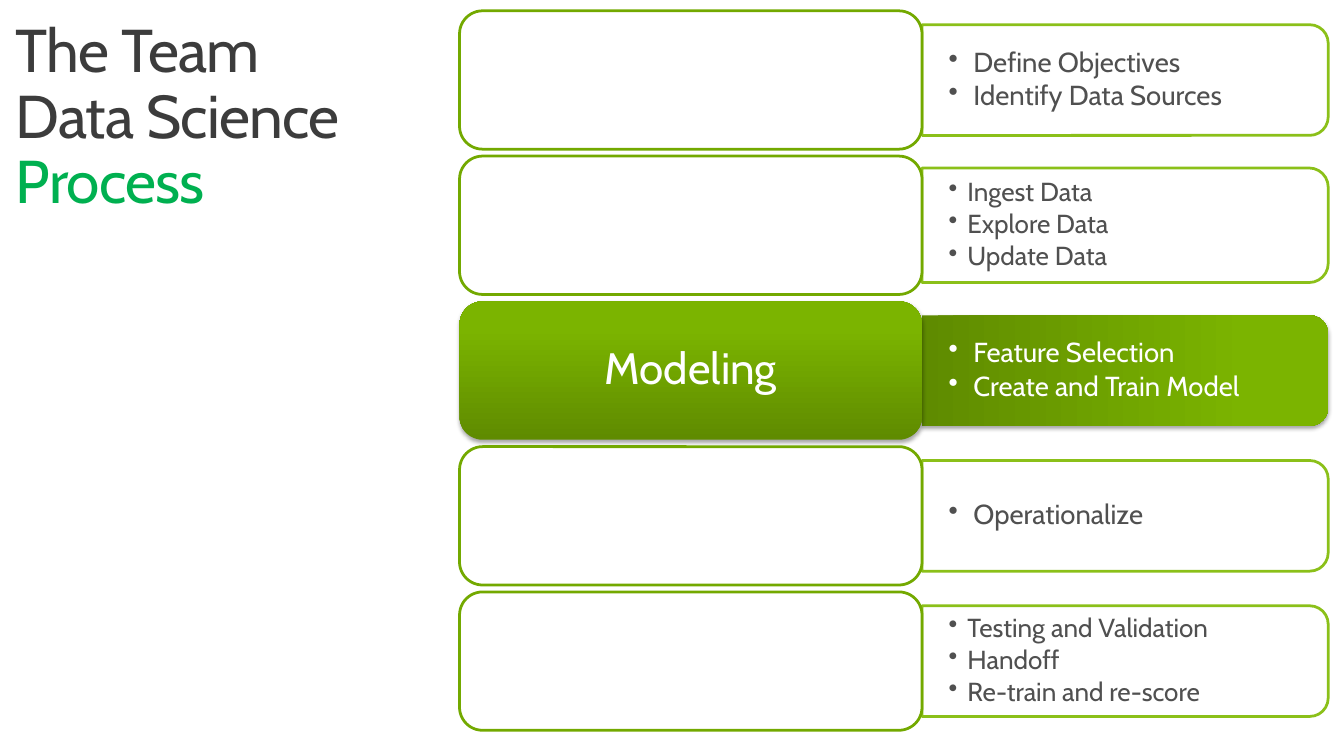
from lxml import etree
from pptx import Presentation
from pptx.dml.color import RGBColor
from pptx.enum.shapes import MSO_SHAPE as Preset
from pptx.enum.text import MSO_ANCHOR as Anchor, PP_ALIGN as Align
from pptx.oxml.ns import qn
from pptx.util import Inches, Pt

# Content: stage name, bullet size, hanging indent, tab height, bullets
TITLE = [("The Team Data Science ", "title"), ("Process", "accent")]
STAGES = [
    ("", 20, 0.25, 1.12, ["Define Objectives", "Identify Data Sources"]),
    ("", 19, 0.19, 1.16, ["Ingest Data", "Explore Data", "Update Data"]),
    ("Modeling", 20, 0.25, 1.12, ["Feature Selection", "Create and Train Model"]),
    ("", 20, 0.25, 1.12, ["Operationalize"]),
    ("", 19, 0.19, 1.12, ["Testing and Validation", "Handoff", "Re-train and re-score"]),
]
COLORS = {
    "title": "3C3C3C", "accent": "00B050", "body": "505050", "white": "FFFFFF",
    "card_line": "73A900", "tab_line": "7FBA00", "dark": "5F8B00", "bright": "7BB400",
    "shadow": "000000",
}
FONT = "Cabin"

# Layout in inches
CARD_LEFT, CARD_TOP, CARD_WIDTH, CARD_HEIGHT = 4.65, 0.11, 4.68, 1.4
ROW_PITCH = 1.47
TAB_LEFT, TAB_WIDTH, TAB_TEXT_WIDTH = CARD_LEFT + CARD_WIDTH, 4.11, 4.05
TAB_TEXT_TRIM = 0.11


def color(name):
    return RGBColor.from_string(COLORS[name])


def box(left, top, width, height):
    return [Inches(value) for value in (left, top, width, height)]


def add_outline(shape, line_name, opacity):
    shape.fill.solid()
    shape.fill.fore_color.rgb = color("white")
    shape.line.color.rgb = color(line_name)
    shape.line.width = Pt(2)
    if opacity < 100:
        for tone in shape._element.spPr.iter(qn("a:srgbClr")):
            etree.SubElement(tone, qn("a:alpha"), val=str(opacity * 1000))


def add_highlight(shape):
    shape.fill.gradient()
    shape.fill.gradient_angle = 90
    for stop, name, position in zip(shape.fill.gradient_stops, ("dark", "bright"), (0, 0.8)):
        stop.color.rgb = color(name)
        stop.position = position
    shape.line.fill.background()
    effects = shape._element.spPr.find(qn("a:effectLst"))
    shadow = etree.SubElement(effects, qn("a:outerShdw"), blurRad=str(Pt(3.1)),
                              dist=str(Pt(1.8)), dir="5400000", rotWithShape="0")
    tone = etree.SubElement(shadow, qn("a:srgbClr"), val=COLORS["shadow"])
    etree.SubElement(tone, qn("a:alpha"), val="35000")


def add_panel(slide, preset, place, line_name, active, opacity=100):
    shape = slide.shapes.add_shape(preset, *box(*place))
    shape.shadow.inherit = False
    if active:
        add_highlight(shape)
    else:
        add_outline(shape, line_name, opacity)
    return shape


def add_text(slide, place, margins, anchor, paragraphs, size, paragraph_format):
    frame = slide.shapes.add_textbox(*box(*place)).text_frame
    across, down = (Inches(margin) for margin in margins)
    frame_format = {"word_wrap": True, "vertical_anchor": anchor, "margin_left": across,
                    "margin_right": across, "margin_top": down, "margin_bottom": down}
    for name, value in frame_format.items():
        setattr(frame, name, value)
    for index, runs in enumerate(paragraphs):
        paragraph = frame.paragraphs[0] if index == 0 else frame.add_paragraph()
        for name, value in paragraph_format.items():
            setattr(paragraph, name, value)
        for text, color_name in runs:
            run = paragraph.add_run()
            run.text = text
            run.font.name, run.font.size = FONT, Pt(size)
            run.font.color.rgb = color(color_name)
    return frame


def add_bullets(frame, indent):
    for paragraph in frame.paragraphs:
        properties = paragraph._p.get_or_add_pPr()
        properties.set("marL", str(Inches(indent)))
        properties.set("indent", str(-Inches(indent)))
        etree.SubElement(properties, qn("a:buChar"), char="•")


def add_stage(slide, row, stage):
    name, size, indent, tab_height, bullets = stage
    active = bool(name)
    top = CARD_TOP + row * ROW_PITCH
    middle = top + CARD_HEIGHT / 2

    # Tab: a top-rounded rectangle turned a quarter to the right
    tab_place = (TAB_LEFT + (TAB_WIDTH - tab_height) / 2, middle - TAB_WIDTH / 2,
                 tab_height, TAB_WIDTH)
    tab = add_panel(slide, Preset.ROUND_2_SAME_RECTANGLE, tab_place, "tab_line", active, 90)
    tab.rotation = 90

    # Bullets on the tab
    text_height = tab_height - TAB_TEXT_TRIM
    text_color = "white" if active else "body"
    frame = add_text(slide, (TAB_LEFT, middle - text_height / 2, TAB_TEXT_WIDTH, text_height),
                     (0.27, 0.14), Anchor.MIDDLE, [[(text, text_color)] for text in bullets],
                     size, {"line_spacing": 0.9, "space_after": Pt(size * 0.15)})
    add_bullets(frame, indent)

    # Card with the stage name
    card_place = (CARD_LEFT, top, CARD_WIDTH, CARD_HEIGHT)
    add_panel(slide, Preset.ROUNDED_RECTANGLE, card_place, "card_line", active)
    if name:
        inset = 0.07
        name_place = (CARD_LEFT + inset, top + inset,
                      CARD_WIDTH - 2 * inset, CARD_HEIGHT - 2 * inset)
        add_text(slide, name_place, (0.13, 0.07), Anchor.MIDDLE, [[(name, "white")]], 32,
                 {"line_spacing": 0.9, "alignment": Align.CENTER})


def main():
    presentation = Presentation()
    presentation.slide_width, presentation.slide_height = Inches(13.6), Inches(7.65)
    slide = presentation.slides.add_slide(presentation.slide_layouts[6])

    # Title
    frame = add_text(slide, (0, 0.11, 3.86, 2.26), (0.16, 0.1), Anchor.TOP, [TITLE], 44,
                     {"line_spacing": 0.9})
    for run in frame.paragraphs[0].runs:
        run.font._element.set("spc", "-60")

    # Stages
    for row, stage in enumerate(STAGES):
        add_stage(slide, row, stage)
    presentation.save("out.pptx")


if __name__ == "__main__":
    main()
